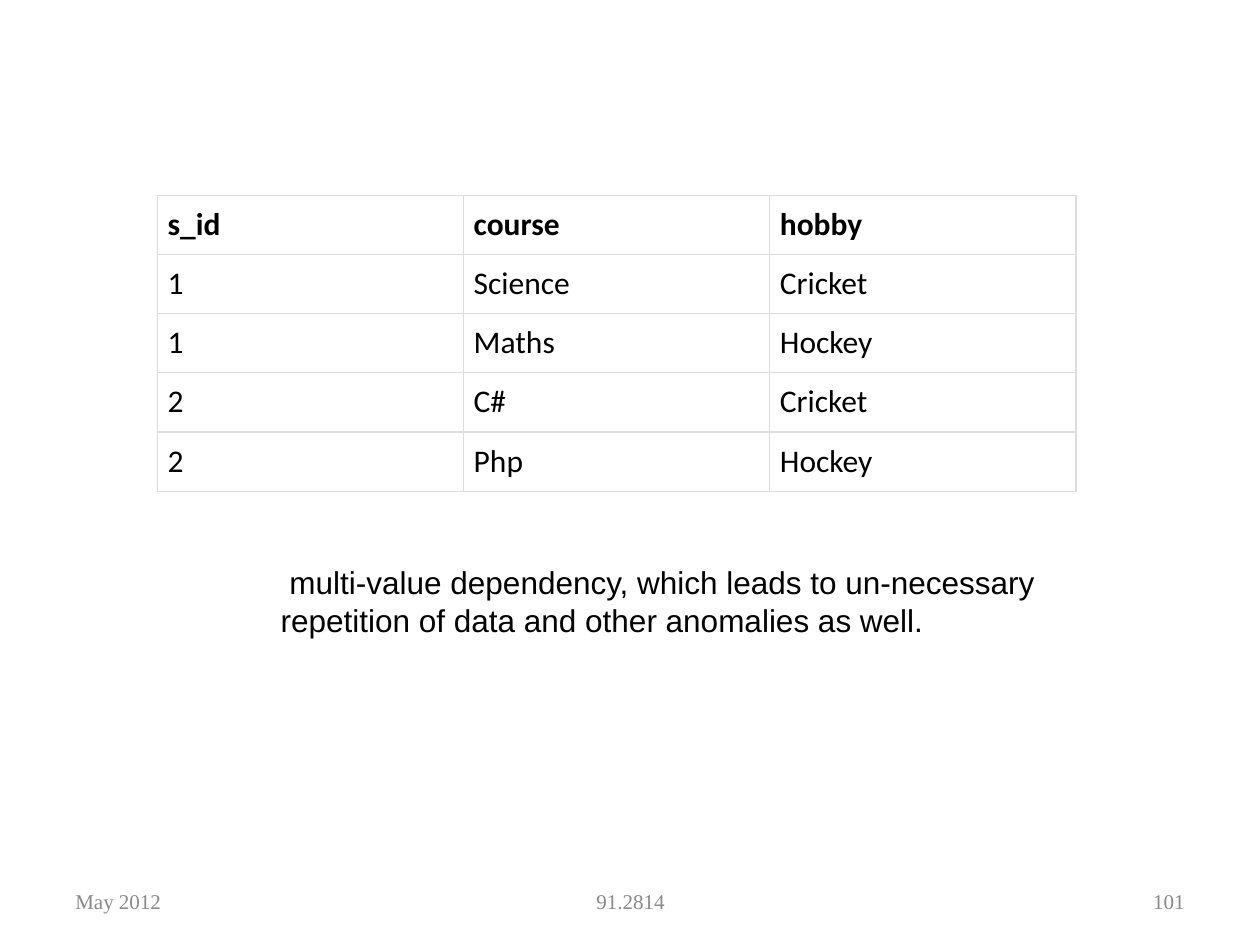
import pptx
import pptx.dml.color
import pptx.enum.text
import pptx.oxml
import pptx.oxml.ns
import pptx.util
from pptx.util import Inches

COLORS = {"text": "000000", "footer": "898989", "border": "DDDDDD", "cell": "FFFFFF"}
ALIGN = pptx.enum.text.PP_ALIGN
ANCHOR = pptx.enum.text.MSO_ANCHOR


def add_run(paragraph, text, font_name, size, color, bold=False):
    run = paragraph.add_run()
    run.text = text
    run.font.name = font_name
    run.font.size = pptx.util.Pt(size)
    run.font.bold = bold
    run.font.color.rgb = pptx.dml.color.RGBColor.from_string(COLORS[color])


def add_text_box(left, top, width, height, anchor, alignment):
    frame = slide.shapes.add_textbox(
        Inches(left), Inches(top), Inches(width), Inches(height)).text_frame
    frame.word_wrap = True
    frame.vertical_anchor = anchor
    frame.paragraphs[0].alignment = alignment
    return frame.paragraphs[0]


presentation = pptx.Presentation()
presentation.slide_width = Inches(10)
presentation.slide_height = Inches(7.5)
slide = presentation.slides.add_slide(presentation.slide_layouts[6])

# Footer: date, course number, page number
footers = [
    ("May 2012", 0.5, 2.33, ALIGN.LEFT),
    ("91.2814", 3.42, 3.17, ALIGN.CENTER),
    ("101", 7.17, 2.33, ALIGN.RIGHT),
]
for text, left, width, alignment in footers:
    paragraph = add_text_box(left, 6.95, width, 0.4, ANCHOR.MIDDLE, alignment)
    add_run(paragraph, text, "Times New Roman", 12, "footer")

# Table of students, courses and hobbies
rows = [
    ("s_id", "course", "hobby"),
    ("1", "Science", "Cricket"),
    ("1", "Maths", "Hockey"),
    ("2", "C#", "Cricket"),
    ("2", "Php", "Hockey"),
]
row_height = 0.47
table = slide.shapes.add_table(
    len(rows), len(rows[0]), Inches(1.25), Inches(1.55),
    Inches(7.29), Inches(row_height * len(rows))).table
for row_index, row in enumerate(rows):
    table.rows[row_index].height = Inches(row_height)
    for column_index, text in enumerate(row):
        cell = table.cell(row_index, column_index)
        cell.margin_left = cell.margin_right = Inches(0.08)
        cell.margin_top = cell.margin_bottom = Inches(0.08)
        # Borders come before the fill in the cell properties
        properties = cell._tc.get_or_add_tcPr()
        for side in ("lnL", "lnR", "lnT", "lnB"):
            properties.append(pptx.oxml.parse_xml(
                f'<a:{side} {pptx.oxml.ns.nsdecls("a")} w="{pptx.util.Pt(0.75)}">'
                f'<a:solidFill><a:srgbClr val="{COLORS["border"]}"/></a:solidFill>'
                f'</a:{side}>'))
        cell.fill.solid()
        cell.fill.fore_color.rgb = pptx.dml.color.RGBColor.from_string(COLORS["cell"])
        add_run(cell.text_frame.paragraphs[0], text, "Calibri", 18, "text",
                bold=row_index == 0)

# Remark below the table, opening with a no-break space
paragraph = add_text_box(2.13, 4.42, 6.54, 1.31, ANCHOR.TOP, ALIGN.LEFT)
add_run(paragraph,
        " multi-value dependency, which leads to un-necessary "
        "repetition of data and other anomalies as well.",
        "Arial", 18, "text")

presentation.save("out.pptx")
